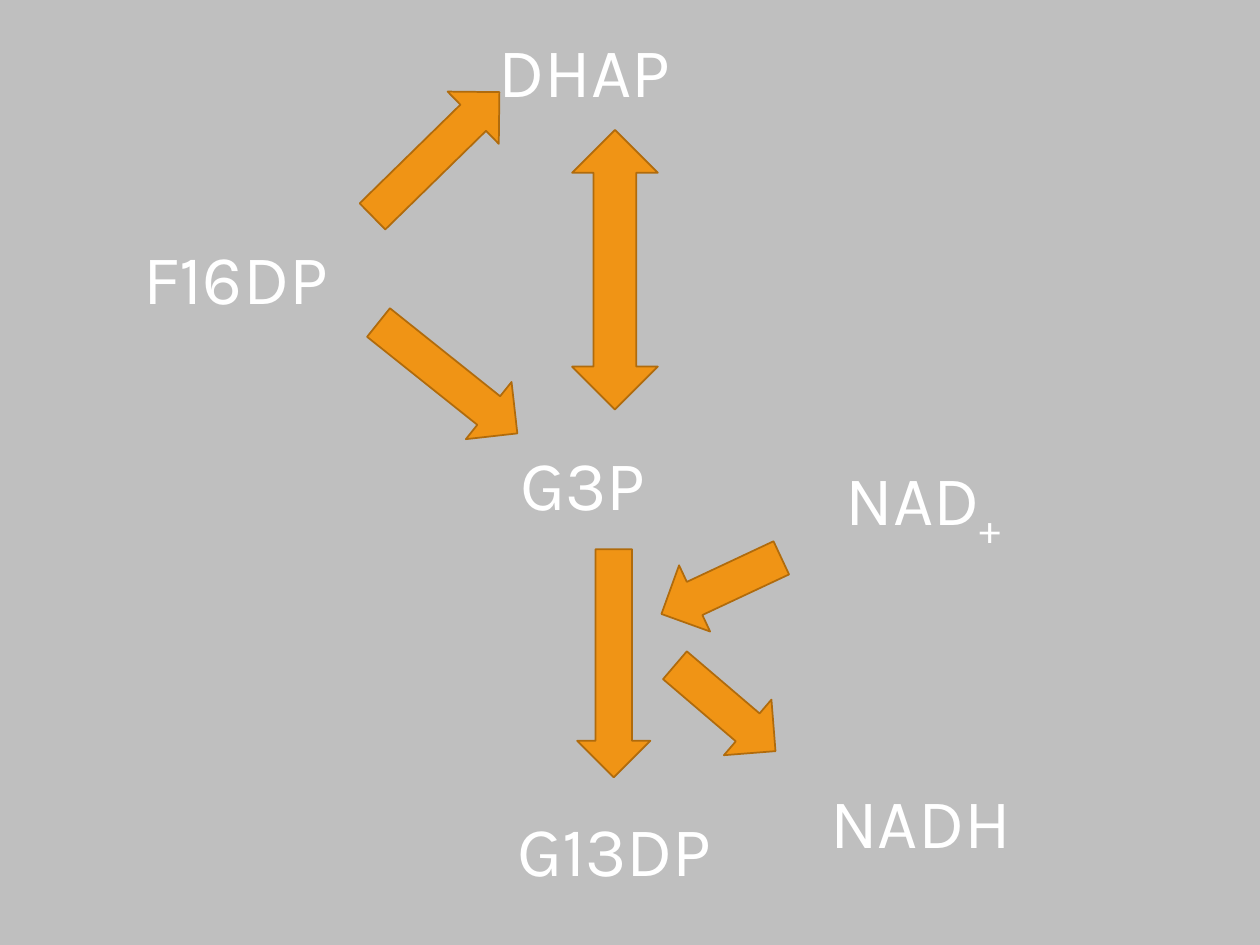
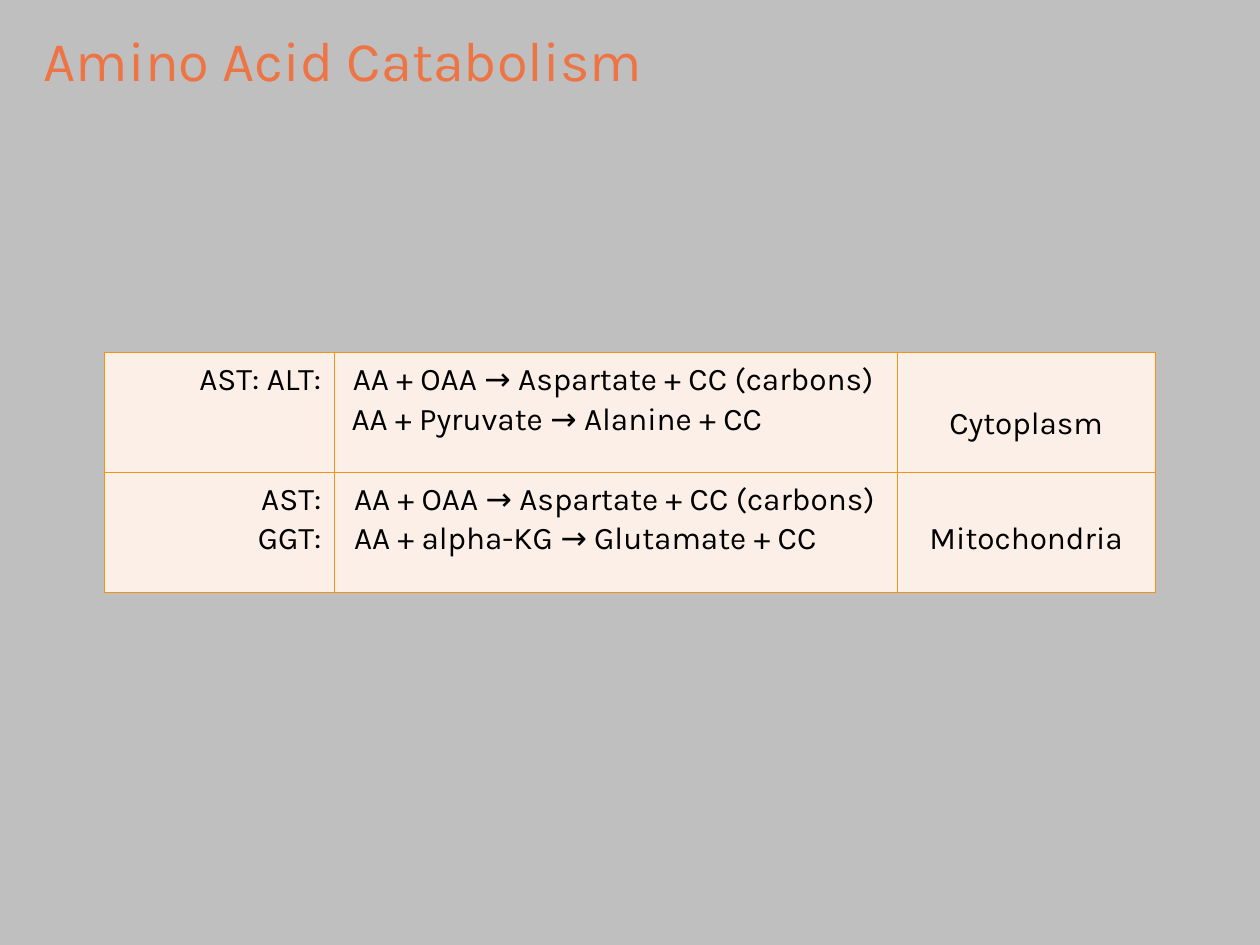
from dataclasses import dataclass

from lxml.etree import SubElement as Sub
from pptx import Presentation
from pptx.dml.color import RGBColor as Rgb
from pptx.enum.shapes import MSO_SHAPE as Kind
from pptx.enum.text import PP_ALIGN as Align
from pptx.oxml.ns import qn
from pptx.slide import Slide
from pptx.util import Pt

HUE = {
    "back": "BFBFBF",
    "label": "FFFFFF",
    "title": "EE7444",
    "arrow": "F09415",
    "edge": "B06B0C",
    "cell": "FCEFE7",
    "ink": "000000",
}
FACE = "Karla"
THIN, THICK = 0.45, 0.96


@dataclass
class Label:
    text: str
    left: float
    top: float
    wide: float
    high: float
    align: Align = Align.CENTER
    size: float = 40
    hue: str = "label"
    sub: str = ""


@dataclass
class Arrow:
    kind: Kind
    left: float
    top: float
    wide: float
    high: float
    turn: float = 0


@dataclass
class Entry:
    text: str
    align: Align
    drop: float = 3.6
    margin: float = 0
    indent: float = 0


LABELS = [
    Label("DHAP", 277.9, 12.2, 145.4, 103.7, Align.LEFT),
    Label("F16DP", 68.4, 130.3, 132.5, 103.7),
    Label("G3P", 290.2, 248.4, 114.5, 103.7, Align.LEFT),
    Label("G13DP", 280.8, 457.2, 140.4, 82.8),
    Label("NAD", 457.2, 257, 140.4, 61.9, sub="+"),
    Label("NADH", 455.8, 441.4, 140.4, 55.4),
]
TITLE = Label("Amino Acid Catabolism", 18, 10.8, 540, 46.1, Align.LEFT, 32, "title")

ARROWS = [
    Arrow(Kind.RIGHT_ARROW, 374.4, 313.9, 75.6, 41.8, 154.9),
    Arrow(Kind.RIGHT_ARROW, 205.2, 195.1, 101.5, 41.8, 38.6),
    Arrow(Kind.DOWN_ARROW, 329.8, 313.9, 41.8, 130.3),
    Arrow(Kind.DOWN_ARROW, 228.2, 37.4, 41.8, 101.5, 225.6),
    Arrow(Kind.RIGHT_ARROW, 376.6, 383.8, 75.6, 41.8, 40.5),
    Arrow(Kind.UP_DOWN_ARROW, 326.9, 74.2, 49, 159.8),
]

COLS = [131, 321.8, 147.6]
ROW = 68.4
GRID = [
    [
        Entry("AST: ALT:", Align.RIGHT, margin=43.9),
        Entry("AA + OAA → Aspartate + CC (carbons) AA + Pyruvate → Alanine + CC",
              Align.LEFT, margin=2.9, indent=0.7),
        Entry("Cytoplasm", Align.CENTER, drop=28.7),
    ],
    [
        Entry("AST: GGT:", Align.RIGHT, margin=56.2, indent=-0.7),
        Entry("AA + OAA → Aspartate + CC (carbons) AA + alpha-KG → Glutamate + CC",
              Align.LEFT, margin=4.3),
        Entry("Mitochondria", Align.CENTER, drop=26.2),
    ],
]


def shade(name: str) -> Rgb:
    return Rgb.from_string(HUE[name])


def style(run, size: float, hue: str) -> None:
    run.font.name = FACE
    run.font.size = Pt(size)
    run.font.color.rgb = shade(hue)


def add_page(deck) -> Slide:
    page = deck.slides.add_slide(deck.slide_layouts[6])
    page.background.fill.solid()
    page.background.fill.fore_color.rgb = shade("back")
    return page


def add_label(page: Slide, item: Label) -> None:
    box = page.shapes.add_textbox(
        Pt(item.left), Pt(item.top), Pt(item.wide), Pt(item.high))
    frame = box.text_frame
    frame.word_wrap = True
    frame.text = item.text
    para = frame.paragraphs[0]
    para.alignment = item.align
    if item.sub:
        tail = para.add_run()
        tail.text = item.sub
        tail.font._element.set("baseline", "-25000")
    for run in para.runs:
        style(run, item.size, item.hue)


def add_arrow(page: Slide, item: Arrow) -> None:
    shape = page.shapes.add_shape(
        item.kind, Pt(item.left), Pt(item.top), Pt(item.wide), Pt(item.high))
    shape.rotation = item.turn
    shape.shadow.inherit = False
    shape.fill.solid()
    shape.fill.fore_color.rgb = shade("arrow")
    shape.line.color.rgb = shade("edge")
    shape.line.width = Pt(1)


def add_edges(cell, top: float, base: float) -> None:
    props = cell._tc.get_or_add_tcPr()
    sides = {"lnL": THIN, "lnR": THIN, "lnT": top, "lnB": base}
    for spot, (side, width) in enumerate(sides.items()):
        line = Sub(props, qn(f"a:{side}"), w=str(int(Pt(width))))
        fill = Sub(line, qn("a:solidFill"))
        Sub(fill, qn("a:srgbClr"), val=HUE["arrow"])
        props.insert(spot, line)


def fill_cell(cell, item: Entry) -> None:
    cell.fill.solid()
    cell.fill.fore_color.rgb = shade("cell")
    cell.margin_top = Pt(item.drop)
    cell.text_frame.text = item.text
    para = cell.text_frame.paragraphs[0]
    para.alignment = item.align
    para.line_spacing = 1.07
    props = para._p.get_or_add_pPr()
    props.set("marL", str(int(Pt(item.margin))))
    props.set("indent", str(int(Pt(item.indent))))
    style(para.runs[0], 18, "ink")


def add_grid(page: Slide) -> None:
    rows = len(GRID)
    table = page.shapes.add_table(
        rows, len(COLS), Pt(59.8), Pt(201.6), Pt(sum(COLS)), Pt(ROW * rows)).table
    table.first_row = False
    table.horz_banding = False
    for col, wide in zip(table.columns, COLS):
        col.width = Pt(wide)
    for r, line in enumerate(GRID):
        table.rows[r].height = Pt(ROW)
        for c, item in enumerate(line):
            cell = table.cell(r, c)
            fill_cell(cell, item)
            add_edges(cell, THICK if r else THIN, THIN if r else THICK)


def main() -> None:
    deck = Presentation()
    deck.slide_width, deck.slide_height = Pt(720), Pt(540)
    path = add_page(deck)
    for item in LABELS:
        add_label(path, item)
    for item in ARROWS:
        add_arrow(path, item)
    acid = add_page(deck)
    add_label(acid, TITLE)
    add_grid(acid)
    deck.save("out.pptx")


if __name__ == "__main__":
    main()
